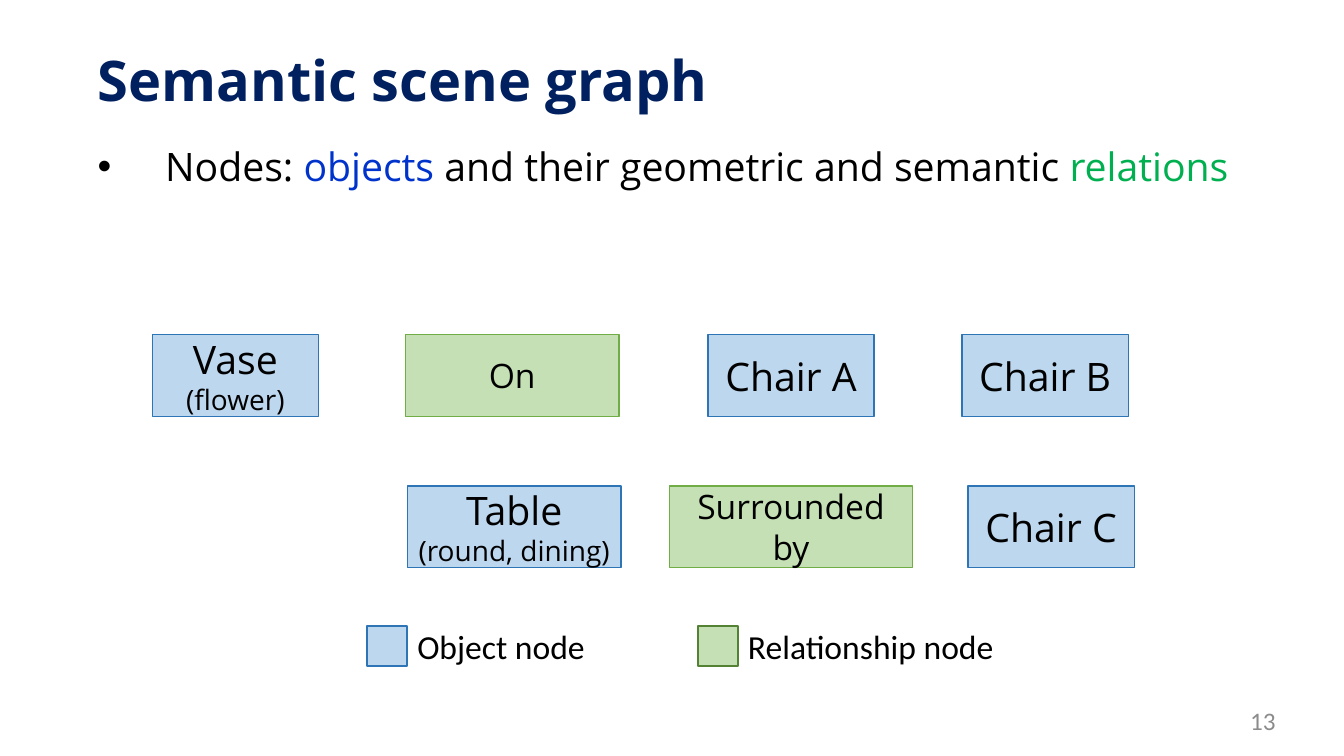
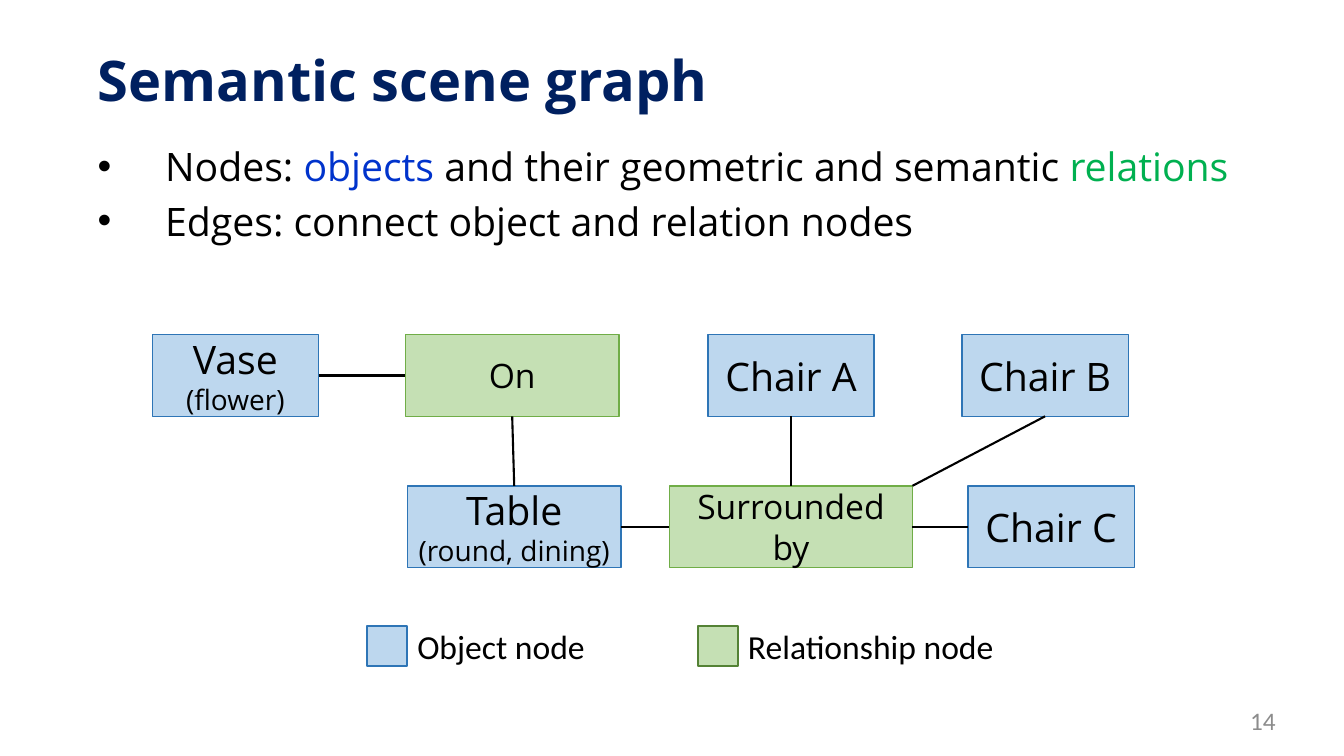
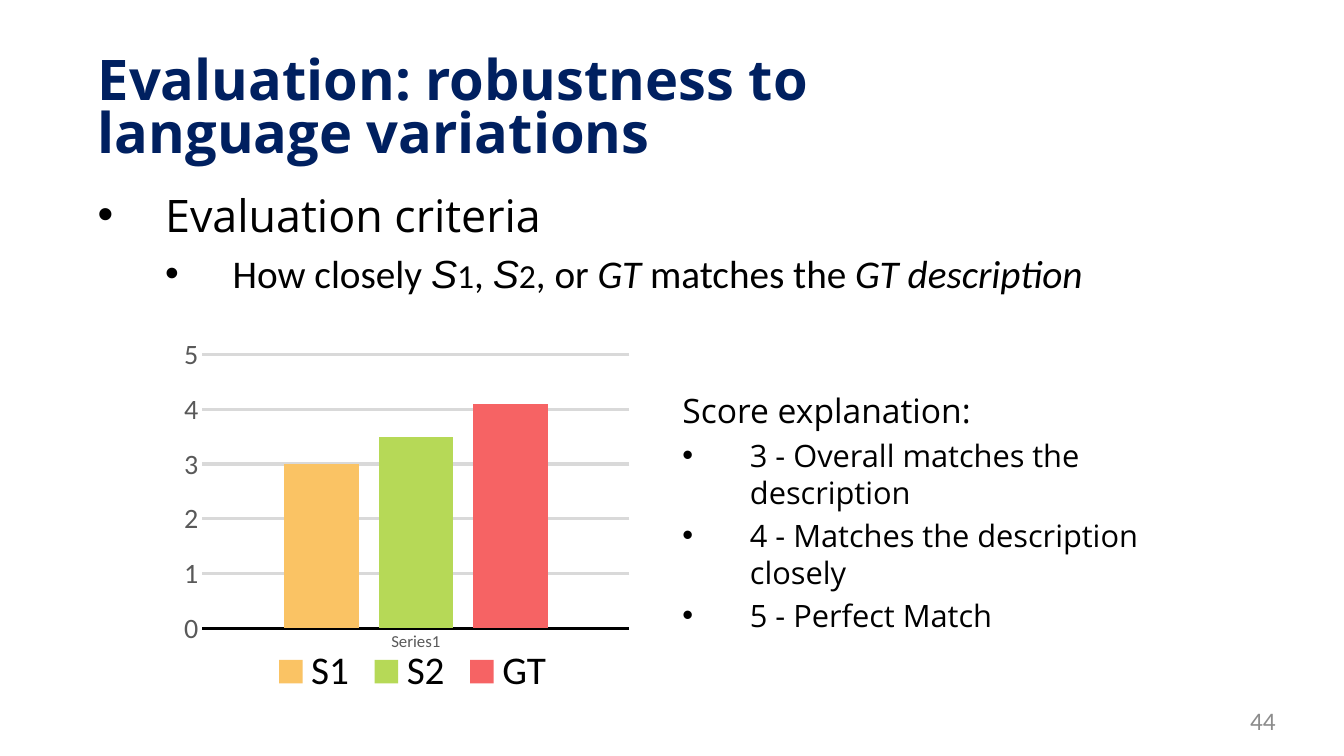
from lxml.etree import SubElement
from pptx import Presentation
from pptx.chart.data import CategoryChartData
from pptx.dml.color import RGBColor
from pptx.enum.chart import XL_CHART_TYPE as Kind, XL_LEGEND_POSITION as Spot, XL_TICK_MARK as Tick
from pptx.enum.shapes import MSO_CONNECTOR as Wire, MSO_SHAPE as Form
from pptx.enum.text import MSO_ANCHOR as Anchor, MSO_AUTO_SIZE as Fit, PP_ALIGN as Align
from pptx.oxml.ns import qn
from pptx.util import Pt

PX = 9144  # EMU in one px, 100 px to the inch
BLACK = RGBColor(0x00, 0x00, 0x00)
NAVY = RGBColor(0x00, 0x20, 0x60)
BLUE = RGBColor(0x00, 0x33, 0xCC)
GREEN = RGBColor(0x00, 0xB0, 0x50)
GRAY = RGBColor(0x8C, 0x8C, 0x8C)
DIM = RGBColor(0x59, 0x59, 0x59)
GRID = RGBColor(0xD9, 0xD9, 0xD9)
SKY = RGBColor(0xBD, 0xD7, 0xEE)
SKY_EDGE = RGBColor(0x2E, 0x75, 0xB6)
MINT = RGBColor(0xC5, 0xE0, 0xB4)
MINT_EDGE = RGBColor(0x70, 0xAD, 0x47)
MOSS = RGBColor(0x54, 0x82, 0x35)
AMBER = RGBColor(0xFA, 0xC3, 0x64)
LIME = RGBColor(0xB6, 0xD9, 0x57)
CORAL = RGBColor(0xF6, 0x63, 0x64)
OPEN, CALI = "Open Sans", "Calibri"
TOP, LEFT, BOTTOM, RIGHT = range(4)  # connection sites of a rectangle

NODES = ("Nodes: ", ("objects", {"color": BLUE}),
         " and their geometric and semantic ", ("relations", {"color": GREEN}))
EDGES = ("Edges: connect object and relation nodes",)
# name: left, top, width, relation?, lines
GRAPH = {
    "vase": (151, 332, 165, False, ("Vase", "(flower)")),
    "on": (402, 332, 212, True, ("On",)),
    "a": (702, 332, 165, False, ("Chair A",)),
    "b": (954, 332, 165, False, ("Chair B",)),
    "table": (404, 482, 212, False, ("Table", "(round, dining)")),
    "around": (664, 482, 241, True, ("Surrounded by",)),
    "c": (960, 482, 165, False, ("Chair C",)),
}
LINKS = (
    ("vase", RIGHT, "on", LEFT),
    ("on", BOTTOM, "table", TOP),
    ("table", RIGHT, "around", LEFT),
    ("a", BOTTOM, "around", TOP),
    ("b", BOTTOM, "around", None),
    ("around", RIGHT, "c", LEFT),
)


def style(font, size, color=BLACK, face=OPEN, bold=False, italic=False):
    font.size, font.name, font.bold, font.italic = Pt(size), face, bold, italic
    font.color.rgb = color


def bullet(para, depth):
    para.level = depth - 1
    props = para._p.get_or_add_pPr()
    props.set("marL", str(67 * depth * PX))
    props.set("indent", str(-67 * PX))
    SubElement(props, qn("a:buFont"), typeface="Arial")
    SubElement(props, qn("a:buChar"), char="•")


def write(frame, *paras, align=Align.LEFT, anchor=Anchor.TOP, wrap=True,
          gap=0, pitch=None, **base):
    """Each para is a string or (runs, format); each run a string or (text, format)."""
    frame.word_wrap, frame.auto_size = wrap, Fit.NONE
    frame.vertical_anchor = anchor
    for i, item in enumerate(paras):
        runs, own = ((item,), {}) if isinstance(item, str) else item
        look = {**base, **own}
        depth = look.pop("depth", 0)
        para = frame.add_paragraph() if i else frame.paragraphs[0]
        if depth:
            bullet(para, depth)
        para.alignment = align
        para.space_before = Pt(look["size"] * gap if i else 0)
        if pitch:
            para.line_spacing = Pt(pitch)
        for part in runs:
            words, extra = (part, {}) if isinstance(part, str) else part
            run = para.add_run()
            run.text = words
            style(run.font, **{**look, **extra})


def place(node, **spots):
    """Give a chart part a manual layout in fractions of the chart."""
    old = node.find(qn("c:layout"))
    if old is not None:
        node.remove(old)
    outer = SubElement(node, qn("c:layout"))
    inner = SubElement(outer, qn("c:manualLayout"))
    if "w" in spots:
        SubElement(inner, qn("c:layoutTarget"), val="inner")
    for key in ("x", "y"):
        SubElement(inner, qn(f"c:{key}Mode"), val="edge")
    for key, val in spots.items():
        SubElement(inner, qn(f"c:{key}"), val=str(val))
    return outer


class Deck:
    def __init__(self):
        self.prs = Presentation()
        self.prs.slide_width, self.prs.slide_height = 1333 * PX, 750 * PX

    def start(self, title, number, box=(87, 37, 850, 82), pitch=None):
        self.slide = self.prs.slides.add_slide(self.prs.slide_layouts[5])
        self.shapes = self.slide.shapes
        head = self.shapes.title
        head.left, head.top, head.width, head.height = (n * PX for n in box)
        write(head.text_frame, title, anchor=Anchor.MIDDLE, pitch=pitch,
              size=40, color=NAVY, bold=True)
        self.text(964, 695, 311, 40, str(number), align=Align.RIGHT,
                  anchor=Anchor.MIDDLE, size=18, face=CALI, color=GRAY)

    def text(self, x, y, w, h, *paras, **look):
        box = self.shapes.add_textbox(x * PX, y * PX, w * PX, h * PX)
        write(box.text_frame, *paras, **look)

    def rect(self, x, y, w, h, fill, edge, weight=1):
        box = self.shapes.add_shape(Form.RECTANGLE, x * PX, y * PX, w * PX, h * PX)
        box.shadow.inherit = False
        box.fill.solid()
        box.fill.fore_color.rgb = fill
        box.line.color.rgb, box.line.width = edge, Pt(weight)
        return box

    def node(self, x, y, w, link, lines):
        box = self.rect(x, y, w, 81, *((MINT, MINT_EDGE) if link else (SKY, SKY_EDGE)))
        sizes = (24,) if link else (28, 20)
        write(box.text_frame, *(((t,), {"size": s}) for t, s in zip(lines, sizes)),
              align=Align.CENTER, anchor=Anchor.MIDDLE)
        return box

    def link(self, a, out, b, into):
        """Join two nodes; with no site given, end at the top right corner."""
        wire = self.shapes.add_connector(Wire.STRAIGHT, 0, 0, b.left + b.width, b.top)
        wire.begin_connect(a, out)
        if into is not None:
            wire.end_connect(b, into)
        wire.line.color.rgb, wire.line.width = BLACK, Pt(1.5)
        SubElement(wire._element.spPr, qn("a:effectLst"))

    def key(self, x, w, label, fill, edge):
        self.rect(x, 621, 40, 40, fill, edge, 1.5)
        self.text(x + 40, 616, w, 50, label, wrap=False, size=24, face=CALI)

    def graph(self, number, points, links=()):
        self.start("Semantic scene graph", number)
        self.text(87, 136, 1160, 150, *((p, {"depth": 1}) for p in points),
                  gap=0.2, size=28)
        nodes = {name: self.node(*spot) for name, spot in GRAPH.items()}
        for a, out, b, into in links:
            self.link(nodes[a], out, nodes[b], into)
        self.key(364, 191, "Object node", SKY, SKY_EDGE)
        self.key(692, 278, "Relationship node", MINT, MOSS)

    def bars(self, x, y, w, h, bars):
        data = CategoryChartData()
        data.categories = ["Series1"]
        for name, val, _ in bars:
            data.add_series(name, [val])
        chart = self.shapes.add_chart(Kind.COLUMN_CLUSTERED, x * PX, y * PX,
                                      w * PX, h * PX, data).chart
        style(chart.font, 10, face=CALI)
        chart.has_title = False
        plot = chart.plots[0]
        plot.gap_width, plot.overlap, plot.vary_by_categories = 219, -27, False
        for row, (_, _, color) in zip(plot.series, bars):
            row.format.fill.solid()
            row.format.fill.fore_color.rgb = color
        cat, val = chart.category_axis, chart.value_axis
        for axis, size in ((cat, 12), (val, 20)):
            axis.major_tick_mark = axis.minor_tick_mark = Tick.NONE
            style(axis.tick_labels.font, size, DIM, CALI)
        val.minimum_scale, val.maximum_scale, val.major_unit = 0, 5, 1
        val.format.line.fill.background()
        for line, color in ((cat.format.line, BLACK),
                            (val.major_gridlines.format.line, GRID)):
            line.color.rgb, line.width = color, Pt(2.25)
        chart.has_legend = True
        chart.legend.position = Spot.BOTTOM
        chart.legend.include_in_layout = False
        style(chart.legend.font, 28, face=CALI)
        area = chart.element.find(".//" + qn("c:plotArea"))
        area.insert(0, place(area, x=0.1, y=0.09, w=0.87, h=0.68))
        legend = chart.element.find(".//" + qn("c:legend"))
        legend.find(qn("c:legendPos")).addnext(place(legend, x=0.23, y=0.8))

    def scores(self):
        self.start("Evaluation: robustness to language variations", 44,
                   (87, 70, 826, 82), pitch=38)
        slant, sign, small = {"italic": True}, {"face": "Arial", "italic": True}, {"size": 24}
        claim = ("How closely ", ("S", sign), ("1", small), ", ", ("S", sign),
                 ("2", small), ", or ", ("GT", slant), " matches the ",
                 ("GT description", slant))
        self.text(87, 181, 1160, 126,
                  (("Evaluation criteria",), {"depth": 1, "size": 32}),
                  (claim, {"depth": 2, "size": 28, "face": CALI}), gap=0.2)
        self.bars(152, 316, 487, 399,
                  (("S1", 3, AMBER), ("S2", 3.5, LIME), ("GT", 4.1, CORAL)))
        marks = ("3 - Overall matches the description",
                 "4 - Matches the description closely", "5 - Perfect Match")
        self.text(667, 382, 566, 260, (("Score explanation:",), {"size": 24}),
                  *(((m,), {"depth": 1}) for m in marks), gap=0.2, size=22)


def main():
    deck = Deck()
    deck.graph(13, (NODES,))
    deck.graph(14, (NODES, EDGES), LINKS)
    deck.scores()
    deck.prs.save("out.pptx")


if __name__ == "__main__":
    main()
